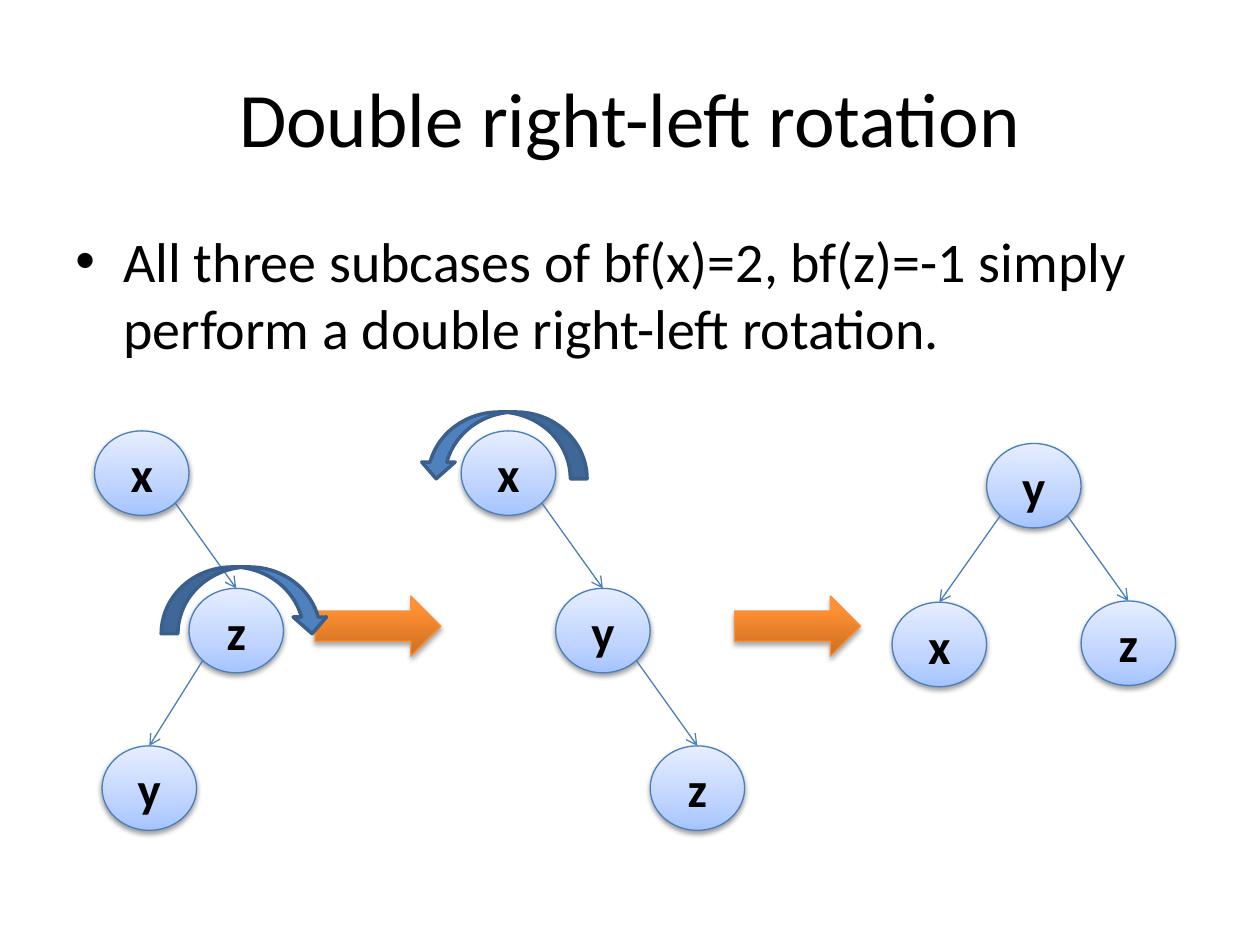
from math import sqrt
from pptx import Presentation
from pptx.dml.color import RGBColor
from pptx.enum.shapes import MSO_CONNECTOR, MSO_SHAPE
from pptx.enum.text import MSO_ANCHOR, PP_ALIGN
from pptx.oxml import parse_xml
from pptx.oxml.ns import nsdecls, qn
from pptx.oxml.xmlchemy import OxmlElement
from pptx.util import Inches, Pt

TITLE = "Double right-left rotation"
BODY = "All three subcases of bf(x)=2, bf(z)=-1 simply perform a double right-left rotation."
FONT = "Calibri"
BLACK = RGBColor(0x00, 0x00, 0x00)
NODE_LINE = RGBColor(0x4B, 0x7E, 0xBC)
STEP_LINE = RGBColor(0xF6, 0x92, 0x40)
TURN_FILL = RGBColor(0x4F, 0x81, 0xBD)
TURN_LINE = RGBColor(0x3A, 0x5F, 0x8C)
NODE_STOPS = [(0, "A4C4FF"), (35, "BFD4FF"), (100, "E6EEFF")]
STEP_STOPS = [(0, "CC6E20"), (80, "FF9034"), (100, "FF9136")]

NODE_W, NODE_H = 0.75, 0.67
TREES = [
    {"nodes": {"x": (0.75, 3.42), "z": (1.5, 4.67), "y": (0.81, 5.92)}, "edges": ["xz", "zy"]},
    {"nodes": {"y": (7.83, 3.52), "z": (8.58, 4.77), "x": (7.08, 4.78)}, "edges": ["yz", "yx"]},
    {"nodes": {"x": (3.66, 3.42), "y": (4.41, 4.67), "z": (5.16, 5.92)}, "edges": ["xy", "yz"]},
]
STEPS = [(2.5, 4.73), (5.83, 4.73)]
TURNS = [(1.28, 4.5, False), (3.33, 3.27, True)]

prs = Presentation()
prs.slide_width, prs.slide_height = Inches(10), Inches(7.5)
slide = prs.slides.add_slide(prs.slide_layouts[6])


def add_text(x, y, w, h, text, size):
    tf = slide.shapes.add_textbox(*map(Inches, (x, y, w, h))).text_frame
    tf.word_wrap = True
    tf.text = text
    style_text(tf, size)
    return tf


def style_text(tf, size, bold=False):
    font = tf.paragraphs[0].runs[0].font
    font.name, font.size, font.bold = FONT, Pt(size), bold
    font.color.rgb = BLACK


def add_shape(kind, x, y, w, h, line, width):
    s = slide.shapes.add_shape(kind, *map(Inches, (x, y, w, h)))
    s.shadow.inherit = False
    s.line.color.rgb, s.line.width = line, Pt(width)
    return s


def add_gloss(s, stops, alpha, dist):
    s.fill.gradient()
    s.fill.gradient_angle = 90
    gs_lst = s._element.spPr.find(".//" + qn("a:gsLst"))
    for gs in list(gs_lst):
        gs_lst.remove(gs)
    for pos, color in stops:
        gs_lst.append(parse_xml(
            f'<a:gs {nsdecls("a")} pos="{pos * 1000}"><a:srgbClr val="{color}"/></a:gs>'))
    s._element.spPr.find(qn("a:effectLst")).append(parse_xml(
        f'<a:outerShdw {nsdecls("a")} blurRad="{Pt(3.1)}" dist="{Pt(dist)}" dir="5400000" '
        f'rotWithShape="0"><a:srgbClr val="000000"><a:alpha val="{alpha * 1000}"/>'
        '</a:srgbClr></a:outerShdw>'))


def add_node(label, x, y):
    s = add_shape(MSO_SHAPE.OVAL, x, y, NODE_W, NODE_H, NODE_LINE, 0.75)
    add_gloss(s, NODE_STOPS, 38, 1.6)
    tf = s.text_frame
    tf.text = label
    tf.vertical_anchor = MSO_ANCHOR.MIDDLE
    tf.paragraphs[0].alignment = PP_ALIGN.CENTER
    style_text(tf, 28, True)


def add_edge(parent, child):
    (px, py), (cx, cy) = parent, child
    side = 1 if cx > px else -1
    x1 = px + NODE_W / 2 * (1 + side / sqrt(2))
    y1 = py + NODE_H / 2 * (1 + 1 / sqrt(2))
    c = slide.shapes.add_connector(
        MSO_CONNECTOR.STRAIGHT, *map(Inches, (x1, y1, cx + NODE_W / 2, cy)))
    c.line.color.rgb, c.line.width = NODE_LINE, Pt(0.75)
    tail = OxmlElement("a:tailEnd")
    tail.set("type", "arrow")
    c.line._get_or_add_ln().append(tail)
    c._element.spPr.append(OxmlElement("a:effectLst"))


tf = add_text(0.5, 0.3, 9, 1.25, TITLE, 44)
tf.vertical_anchor = MSO_ANCHOR.MIDDLE
tf.paragraphs[0].alignment = PP_ALIGN.CENTER

tf = add_text(0.5, 1.75, 9, 4.95, BODY, 32)
p = tf.paragraphs[0]
p.space_before = Pt(6.4)
pPr = p._p.get_or_add_pPr()
pPr.set("marL", str(Inches(0.38)))
pPr.set("indent", str(-Inches(0.38)))
for tag, key, value in [("a:buFont", "typeface", "Arial"), ("a:buChar", "char", "•")]:
    bullet = OxmlElement(tag)
    bullet.set(key, value)
    pPr.append(bullet)

for tree in TREES:
    nodes = tree["nodes"]
    for label, (x, y) in nodes.items():
        add_node(label, x, y)
    for parent, child in tree["edges"]:
        add_edge(nodes[parent], nodes[child])

for x, y in STEPS:
    s = add_shape(MSO_SHAPE.RIGHT_ARROW, x, y, 1, 0.48, STEP_LINE, 0.75)
    add_gloss(s, STEP_STOPS, 35, 1.8)

for x, y, flipped in TURNS:
    s = add_shape(MSO_SHAPE.CURVED_DOWN_ARROW, x, y, 1.33, 0.53, TURN_LINE, 2)
    s.fill.solid()
    s.fill.fore_color.rgb = TURN_FILL
    if flipped:
        s._element.spPr.find(qn("a:xfrm")).set("flipH", "1")

prs.save("out.pptx")
